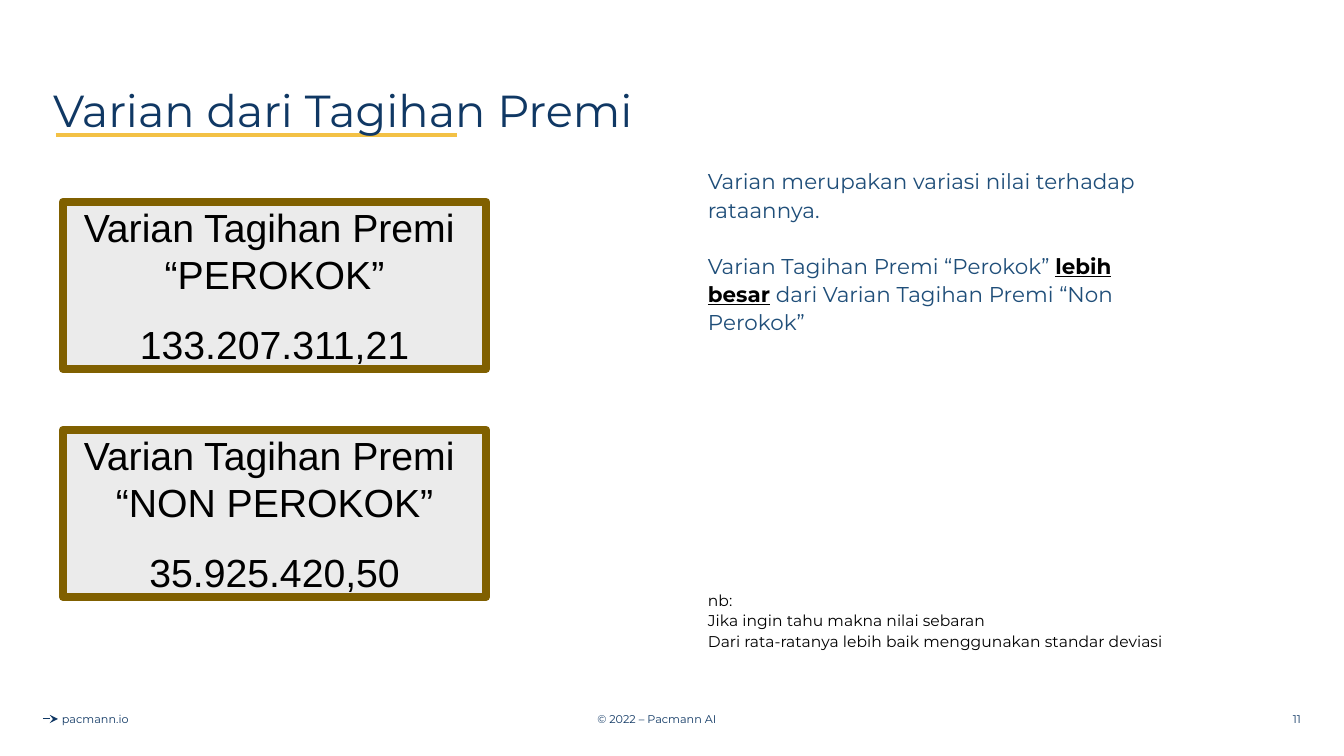
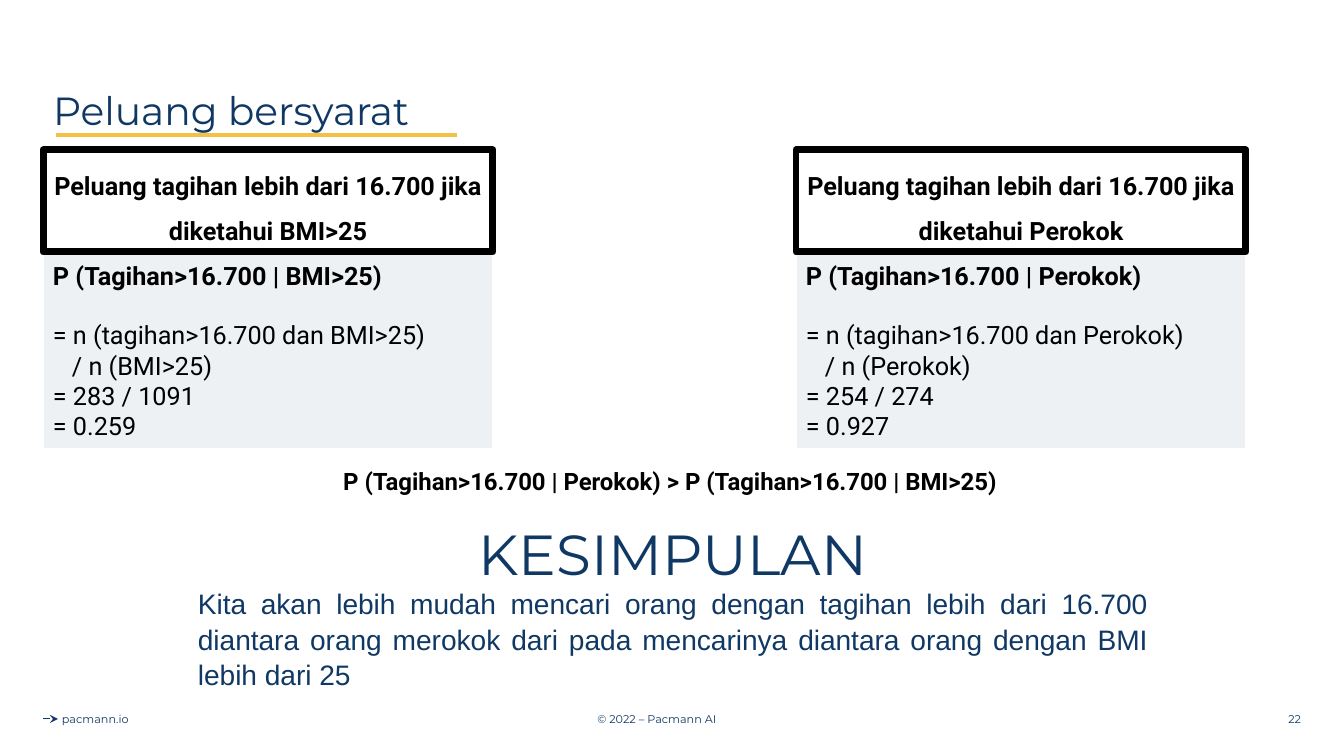
from lxml import etree
from pptx import Presentation
from pptx.dml.color import RGBColor
from pptx.enum.shapes import MSO_CONNECTOR, MSO_SHAPE
from pptx.enum.text import MSO_ANCHOR, PP_ALIGN
from pptx.oxml.ns import qn
from pptx.util import Pt

RECT, STRAIGHT = MSO_SHAPE.RECTANGLE, MSO_CONNECTOR.STRAIGHT
TOP, MIDDLE = MSO_ANCHOR.TOP, MSO_ANCHOR.MIDDLE
LEFT, CENTER, RIGHT, JUSTIFY = (
    PP_ALIGN.LEFT, PP_ALIGN.CENTER, PP_ALIGN.RIGHT, PP_ALIGN.JUSTIFY)
TITLE_ONLY = 5
SLIDE_W, SLIDE_H = 1344, 756
EMU_PER_PX = 12192000 / SLIDE_W

COLORS = {
    "navy": "103864", "blue": "1F4E79", "yellow": "F3C145", "black": "000000",
    "white": "FFFFFF", "grey": "D9D9D9", "brown": "806000", "mist": "ADB9CA",
}

# Text styles: font values, with paragraph values under "para"
FOOTER = {"name": "Montserrat", "size": Pt(8), "color": "navy"}
TITLE = {"name": "Montserrat", "color": "navy",
         "para": {"line_spacing": 0.9, "alignment": LEFT}}
VARIANCE = {"name": "Arial", "size": Pt(28), "color": "black",
            "para": {"alignment": CENTER}}
EXPLANATION = {"name": "Montserrat", "size": Pt(15.3), "color": "blue",
               "para": {"line_spacing": 1.1}}
NOTE = {**EXPLANATION, "size": Pt(11.1), "color": "black"}
FORMULA = {"name": "Roboto", "size": Pt(18), "color": "black",
           "para": {"alignment": LEFT}}
CONDITION = {**FORMULA, "bold": True,
             "para": {"alignment": CENTER, "line_spacing": 1.5}}
COMPARISON = {**FORMULA, "size": Pt(17.1), "bold": True,
              "para": {"alignment": CENTER}}
HEADING = {"name": "Montserrat", "size": Pt(40.3), "color": "navy",
           "para": {"alignment": CENTER}}
CONCLUSION = {"name": "Arial", "size": Pt(20.1), "color": "navy",
              "para": {"alignment": JUSTIFY, "line_spacing": 1.05}}
EMPHASIS = {"bold": True, "underline": True, "color": "black"}


def px(length):
    return round(length * EMU_PER_PX)


def emu_box(box):
    return [px(length) for length in box]


def rgb(color):
    return RGBColor.from_string(COLORS[color])


def set_attributes(target, values):
    for attribute, value in values.items():
        if attribute == "color":
            target.color.rgb = rgb(value)
        elif attribute != "para":
            setattr(target, attribute, value)


def write(frame, paragraphs, style, anchor=TOP):
    """Each paragraph is a string or a (runs, paragraph values) pair;
    each run is a string or a (text, font values) pair."""
    frame.word_wrap = True
    frame.vertical_anchor = anchor
    for index, content in enumerate(paragraphs):
        runs, extra = ([content], {}) if isinstance(content, str) else content
        paragraph = frame.paragraphs[0] if index == 0 else frame.add_paragraph()
        values = {**style.get("para", {}), **extra}
        indent = values.pop("indent", 0)
        if indent:
            paragraph._p.get_or_add_pPr().set("marL", str(px(indent)))
        set_attributes(paragraph, values)
        for part in runs:
            text, change = (part, {}) if isinstance(part, str) else part
            run = paragraph.add_run()
            run.text = text
            set_attributes(run.font, {**style, **change})


def add_text(slide, box, paragraphs, style, anchor=TOP):
    frame = slide.shapes.add_textbox(*emu_box(box)).text_frame
    write(frame, paragraphs, style, anchor)


def add_panel(slide, box, fill, opacity, border, weight):
    panel = slide.shapes.add_shape(RECT, *emu_box(box))
    panel.shadow.inherit = False
    panel.fill.solid()
    panel.fill.fore_color.rgb = rgb(fill)
    if opacity < 100:
        color = panel.fill._xPr.find(qn("a:solidFill"))[0]
        etree.SubElement(color, qn("a:alpha")).set("val", str(opacity * 1000))
    panel.line.color.rgb = rgb(border)
    panel.line.width = Pt(weight)
    return panel.text_frame


def add_rule(slide, x1, x2, y, color, weight, arrow=False):
    rule = slide.shapes.add_connector(STRAIGHT, px(x1), px(y), px(x2), px(y))
    rule.line.color.rgb = rgb(color)
    rule.line.width = Pt(weight)
    if arrow:
        etree.SubElement(rule.line._get_or_add_ln(),
                         qn("a:tailEnd")).set("type", "stealth")
    etree.SubElement(rule._element.spPr, qn("a:effectLst"))


def add_base(deck, title, size, number):
    """Slide with the shared footer, title rule and title."""
    slide = deck.slides.add_slide(deck.slide_layouts[TITLE_ONLY])
    footer_y, footer_h = 699, 40
    add_rule(slide, 43, 58, footer_y + footer_h // 2, "navy", 0.75, arrow=True)
    for x, width, text, alignment in (
            (52, 150, "pacmann.io", LEFT),
            (430, 454, "© 2022 – Pacmann AI", CENTER),
            (1009, 302, number, RIGHT)):
        add_text(slide, (x, footer_y, width, footer_h), [text],
                 {**FOOTER, "para": {"alignment": alignment}}, MIDDLE)
    add_rule(slide, 56, 457, 135, "yellow", 2.25)

    # The title lies over its rule
    heading = slide.shapes.title
    heading.left, heading.top, heading.width, heading.height = emu_box(
        (43, 40, 1257, 146))
    write(heading.text_frame, [title], {**TITLE, "size": Pt(size)}, MIDDLE)
    slide.shapes._spTree.append(heading._element)
    return slide


def add_variance_card(slide, box, group, variance):
    frame = add_panel(slide, box, "grey", 50, "brown", 6)
    write(frame, ["Varian Tagihan Premi ", group,
                  ([variance], {"space_before": Pt(16)})], VARIANCE, MIDDLE)


def add_probability_card(slide, box, given, counts, result):
    x, y, width, height = box
    header_h, gap = 102, 3
    body_y = y + header_h + gap
    body = add_panel(slide, (x, body_y, width, height - header_h - gap),
                     "mist", 20, "white", 0.75)
    write(body, [
        ([(f"P (Tagihan>16.700 | {given})", {"bold": True})], {}),
        ([f"= n (tagihan>16.700 dan {given})"], {"space_before": Pt(21)}),
        ([f"/ n ({given})"], {"indent": 19}),
        f"= {counts}",
        f"= {result}",
    ], FORMULA)
    header = add_panel(slide, (x, y, width, header_h), "white", 100, "black", 5)
    write(header, [f"Peluang tagihan lebih dari 16.700 jika diketahui {given}"],
          CONDITION)


def add_conclusion(slide, box):
    x, y, width, height = box
    heading_y, summary_y = y + 52, y + 118
    add_text(slide, (x, y, width, 40),
             ["P (Tagihan>16.700 | Perokok) > P (Tagihan>16.700 | BMI>25) "],
             COMPARISON)
    add_text(slide, (x, heading_y, width, 76), ["KESIMPULAN"], HEADING)
    add_text(slide, (x, summary_y, width, y + height - summary_y), [
        "Kita akan lebih mudah mencari orang dengan tagihan lebih dari 16.700 "
        "diantara orang merokok dari pada mencarinya diantara orang dengan BMI "
        "lebih dari 25"], CONCLUSION)


def variance_slide(deck):
    slide = add_base(deck, "Varian dari Tagihan Premi", 32, "11")
    groups = (("“PEROKOK”", "133.207.311,21"),
              ("“NON PEROKOK”", "35.925.420,50"))
    for row, (group, variance) in enumerate(groups):
        add_variance_card(slide, (63, 202 + row * 228, 423, 167),
                          group, variance)
    add_text(slide, (698, 161, 490, 190), [
        "Varian merupakan variasi nilai terhadap rataannya.",
        (["Varian Tagihan Premi “Perokok” ", ("lebih besar", EMPHASIS),
          " dari Varian Tagihan Premi “Non Perokok”"],
         {"space_before": Pt(20)}),
    ], EXPLANATION)
    add_text(slide, (698, 584, 490, 74), [
        "nb:",
        "Jika ingin tahu makna nilai sebaran",
        "Dari rata-ratanya lebih baik menggunakan standar deviasi",
    ], NOTE)


def probability_slide(deck):
    slide = add_base(deck, "Peluang bersyarat", 28, "22")
    cases = (("BMI>25", "283 / 1091", "0.259"),
             ("Perokok", "254 / 274", "0.927"))
    for column, case in enumerate(cases):
        add_probability_card(slide, (43 + column * 753, 150, 450, 299), *case)
    add_conclusion(slide, (188, 462, 970, 230))


def main():
    deck = Presentation()
    deck.slide_width, deck.slide_height = px(SLIDE_W), px(SLIDE_H)
    variance_slide(deck)
    probability_slide(deck)
    deck.save("out.pptx")


if __name__ == "__main__":
    main()
